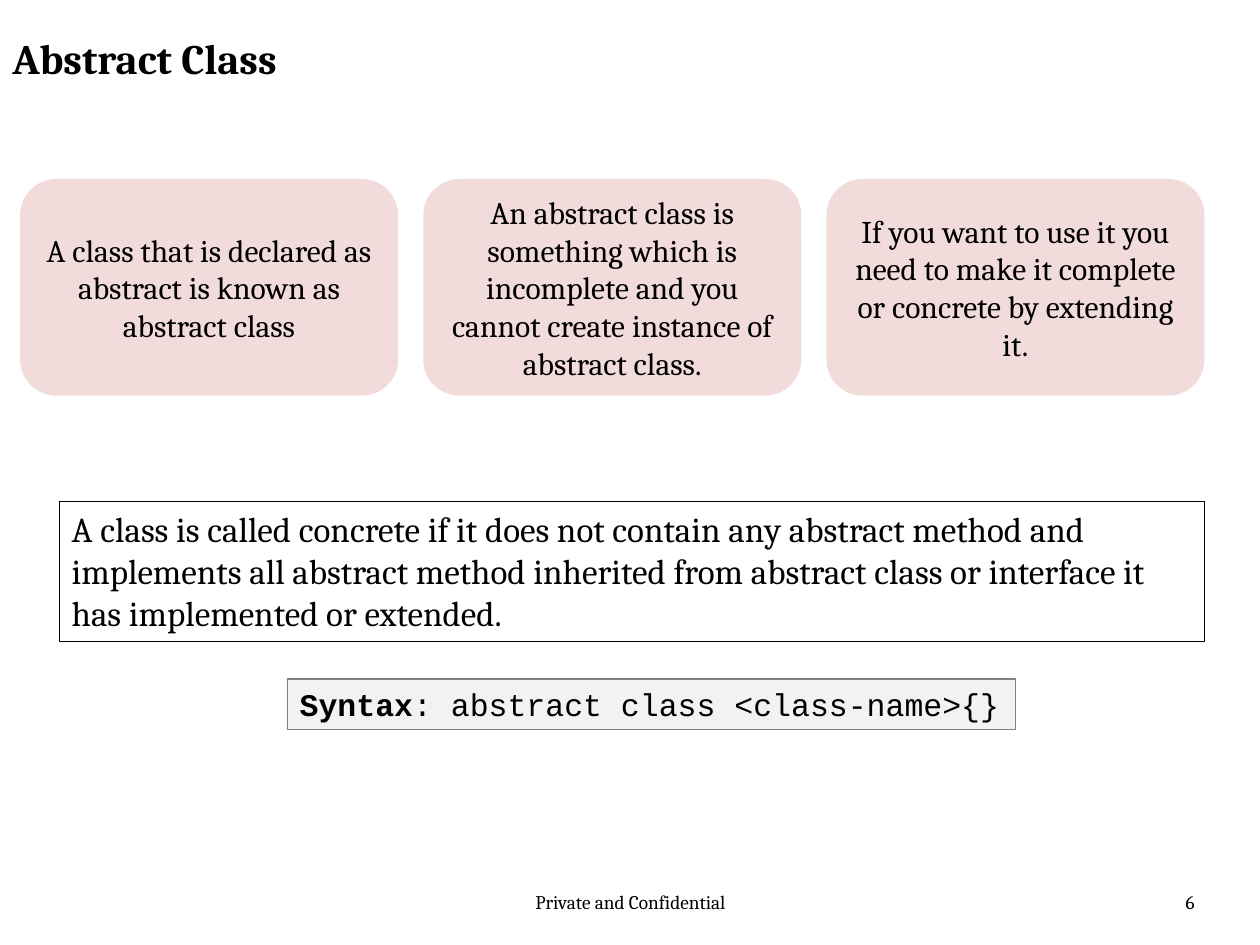
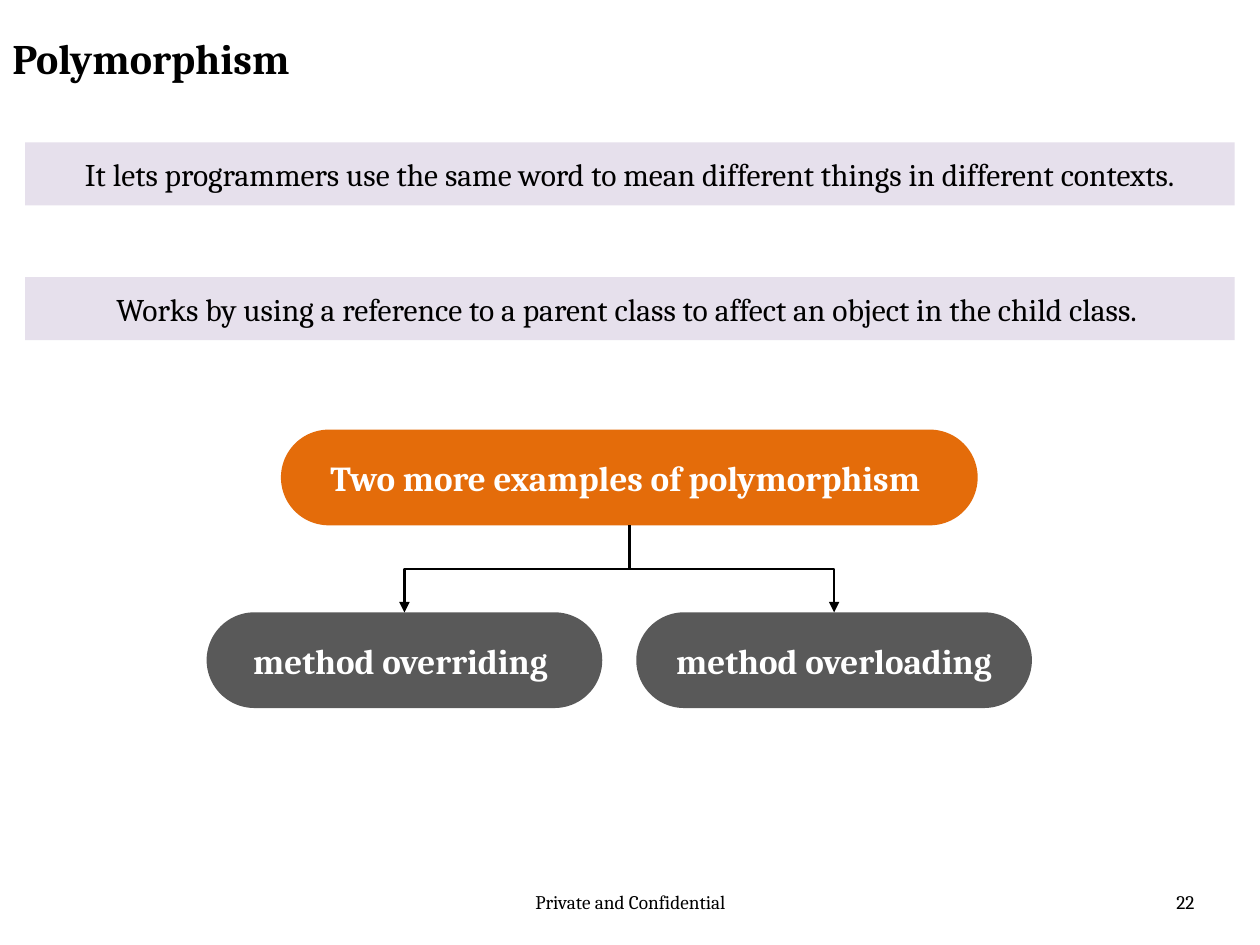
from dataclasses import dataclass

import pptx
import pptx.dml.color
import pptx.enum.shapes
import pptx.enum.text
import pptx.oxml
import pptx.oxml.ns
import pptx.presentation
import pptx.shapes.autoshape
import pptx.shapes.base
import pptx.shapes.connector
import pptx.slide
import pptx.util

RGBColor = pptx.dml.color.RGBColor
Inches = pptx.util.Inches
Align = pptx.enum.text.PP_ALIGN
Anchor = pptx.enum.text.MSO_ANCHOR
Preset = pptx.enum.shapes.MSO_SHAPE

BLACK = RGBColor(0x00, 0x00, 0x00)
WHITE = RGBColor(0xFF, 0xFF, 0xFF)
PINK = RGBColor(0xF2, 0xDC, 0xDB)
LAVENDER = RGBColor(0xE6, 0xE0, 0xEC)
ORANGE = RGBColor(0xE4, 0x6C, 0x0A)
DARK_GRAY = RGBColor(0x59, 0x59, 0x59)
LIGHT_GRAY = RGBColor(0xF2, 0xF2, 0xF2)
MID_GRAY = RGBColor(0x80, 0x80, 0x80)

BODY_FONT = "Cambria"
CODE_FONT = "Courier New"

CARD_LEFT, CARD_STEP = 0.16, 3.2
BAND_TOP, BAND_STEP = 1.13, 1.07
METHOD_LEFT, METHOD_STEP = 1.64, 3.41


@dataclass(frozen=True)
class Area:
    left: float
    top: float
    width: float
    height: float

    def lengths(self) -> tuple:
        return tuple(Inches(value) for value in (self.left, self.top, self.width, self.height))


@dataclass(frozen=True)
class BoxStyle:
    preset: pptx.enum.shapes.MSO_SHAPE
    fill: RGBColor | None = None
    line: RGBColor | None = None
    corner: float | None = None


CARD = BoxStyle(Preset.ROUNDED_RECTANGLE, fill=PINK)
DEFINITION = BoxStyle(Preset.RECTANGLE, line=BLACK)
CODE = BoxStyle(Preset.RECTANGLE, fill=LIGHT_GRAY, line=MID_GRAY)
BAND = BoxStyle(Preset.RECTANGLE, fill=LAVENDER)
TOPIC = BoxStyle(Preset.ROUNDED_RECTANGLE, fill=ORANGE, corner=0.5)
METHOD = BoxStyle(Preset.ROUNDED_RECTANGLE, fill=DARK_GRAY, corner=0.5)


def write_text(
    shape: pptx.shapes.base.BaseShape,
    text: str,
    *,
    size: int = 18,
    font: str = BODY_FONT,
    color: RGBColor = BLACK,
    bold: bool = False,
    bold_lead: str = "",
    align: Align = Align.CENTER,
    anchor: Anchor = Anchor.MIDDLE,
    wrap: bool = True,
    inset: float | None = None,
    line_spacing: float | None = None,
) -> None:
    frame = shape.text_frame
    frame.word_wrap = wrap
    frame.vertical_anchor = anchor
    if inset is not None:
        frame.margin_left = frame.margin_right = Inches(inset)
        frame.margin_top = frame.margin_bottom = Inches(inset)
    paragraph = frame.paragraphs[0]
    paragraph.alignment = align
    paragraph.line_spacing = line_spacing
    for part, is_bold in ((bold_lead, True), (text, bold)):
        if part:
            run = paragraph.add_run()
            run.text = part
            run.font.name = font
            run.font.size = pptx.util.Pt(size)
            run.font.bold = is_bold
            run.font.color.rgb = color


def add_label(slide: pptx.slide.Slide, area: Area, text: str, **text_format) -> None:
    write_text(slide.shapes.add_textbox(*area.lengths()), text, **text_format)


def add_box(
    slide: pptx.slide.Slide, area: Area, style: BoxStyle, text: str, **text_format
) -> pptx.shapes.autoshape.Shape:
    shape = slide.shapes.add_shape(style.preset, *area.lengths())
    shape.shadow.inherit = False
    if style.corner is not None:
        shape.adjustments[0] = style.corner
    if style.fill is None:
        shape.fill.background()
    else:
        shape.fill.solid()
        shape.fill.fore_color.rgb = style.fill
    if style.line is None:
        shape.line.fill.background()
    else:
        shape.line.color.rgb = style.line
        shape.line.width = pptx.util.Pt(0.75)
    write_text(shape, text, **text_format)
    return shape


def add_branch(
    slide: pptx.slide.Slide,
    parent: pptx.shapes.autoshape.Shape,
    child: pptx.shapes.autoshape.Shape,
) -> None:
    start_x, start_y = parent.left + parent.width // 2, parent.top + parent.height
    end_x, end_y = child.left + child.width // 2, child.top
    connector = slide.shapes.add_connector(
        pptx.enum.shapes.MSO_CONNECTOR.ELBOW, start_x, start_y, end_x, end_y
    )
    connector.begin_connect(parent, 2)
    connector.end_connect(child, 0)
    connector.width, connector.height = end_y - start_y, abs(end_x - start_x)
    connector.left = (start_x + end_x - connector.width) // 2
    connector.top = (start_y + end_y - connector.height) // 2
    to_right = end_x > start_x
    properties = connector.element.spPr
    transform = properties.find(pptx.oxml.ns.qn("a:xfrm"))
    transform.set("rot", str((270 if to_right else 90) * 60000))
    transform.set("flipH", "1" if to_right else "0")
    connector.line.color.rgb = BLACK
    connector.line.width = pptx.util.Pt(1.5)
    namespace = pptx.oxml.ns.nsdecls("a")
    line = properties.find(pptx.oxml.ns.qn("a:ln"))
    line.append(pptx.oxml.parse_xml(f'<a:tailEnd {namespace} type="triangle"/>'))
    properties.append(pptx.oxml.parse_xml(f"<a:effectLst {namespace}/>"))


def add_base_slide(
    presentation: pptx.presentation.Presentation, title: str, number: int
) -> pptx.slide.Slide:
    slide = presentation.slides.add_slide(presentation.slide_layouts[6])
    add_label(
        slide, Area(3.42, 7.02, 3.17, 0.4), "Private and Confidential",
        size=11, anchor=Anchor.TOP,
    )
    add_label(
        slide, Area(7.25, 7.02, 2.33, 0.4), str(number),
        size=11, align=Align.RIGHT, anchor=Anchor.TOP,
    )
    add_label(
        slide, Area(0, 0.17, 7.58, 0.62), title,
        size=24, bold=True, align=Align.LEFT, line_spacing=0.9,
    )
    return slide


def build_abstract_class(presentation: pptx.presentation.Presentation) -> None:
    slide = add_base_slide(presentation, "Abstract Class", 6)
    cards = (
        "A class that is declared as abstract is known as abstract class",
        "An abstract class is something which is incomplete and you cannot create "
        "instance of abstract class.",
        "If you want to use it you need to make it complete or concrete by extending it.",
    )
    for index, text in enumerate(cards):
        add_box(slide, Area(CARD_LEFT + index * CARD_STEP, 1.42, 3, 1.72), CARD, text)
    add_box(
        slide, Area(0.47, 3.98, 9.09, 1.11), DEFINITION,
        "A class is called concrete if it does not contain any abstract method and "
        "implements all abstract method inherited from abstract class or interface it "
        "has implemented or extended.",
        size=20, align=Align.LEFT, anchor=Anchor.TOP,
    )
    add_box(
        slide, Area(2.28, 5.39, 5.78, 0.4), CODE, ": abstract class <class-name>{}",
        bold_lead="Syntax", font=CODE_FONT, align=Align.JUSTIFY, anchor=Anchor.TOP,
        wrap=False,
    )


def build_polymorphism(presentation: pptx.presentation.Presentation) -> None:
    slide = add_base_slide(presentation, "Polymorphism", 22)
    bands = (
        "It lets programmers use the same word to mean different things in different contexts.",
        "Works by using a reference to a parent class to affect an object in the child class. ",
    )
    for index, text in enumerate(bands):
        add_box(
            slide, Area(0.2, BAND_TOP + index * BAND_STEP, 9.6, 0.5), BAND, text, inset=0.1
        )
    pill_format = dict(size=20, color=WHITE, bold=True, inset=0.1)
    topic = add_box(
        slide, Area(2.23, 3.41, 5.53, 0.76), TOPIC,
        "Two more examples of polymorphism ", **pill_format,
    )
    methods = [
        add_box(
            slide, Area(METHOD_LEFT + index * METHOD_STEP, 4.86, 3.14, 0.76), METHOD,
            text, **pill_format,
        )
        for index, text in enumerate(("method overriding ", "method overloading"))
    ]
    for method in methods:
        add_branch(slide, topic, method)


def main() -> None:
    presentation = pptx.Presentation()
    presentation.slide_width = Inches(10)
    presentation.slide_height = Inches(7.5)
    build_abstract_class(presentation)
    build_polymorphism(presentation)
    presentation.save("out.pptx")


if __name__ == "__main__":
    main()
